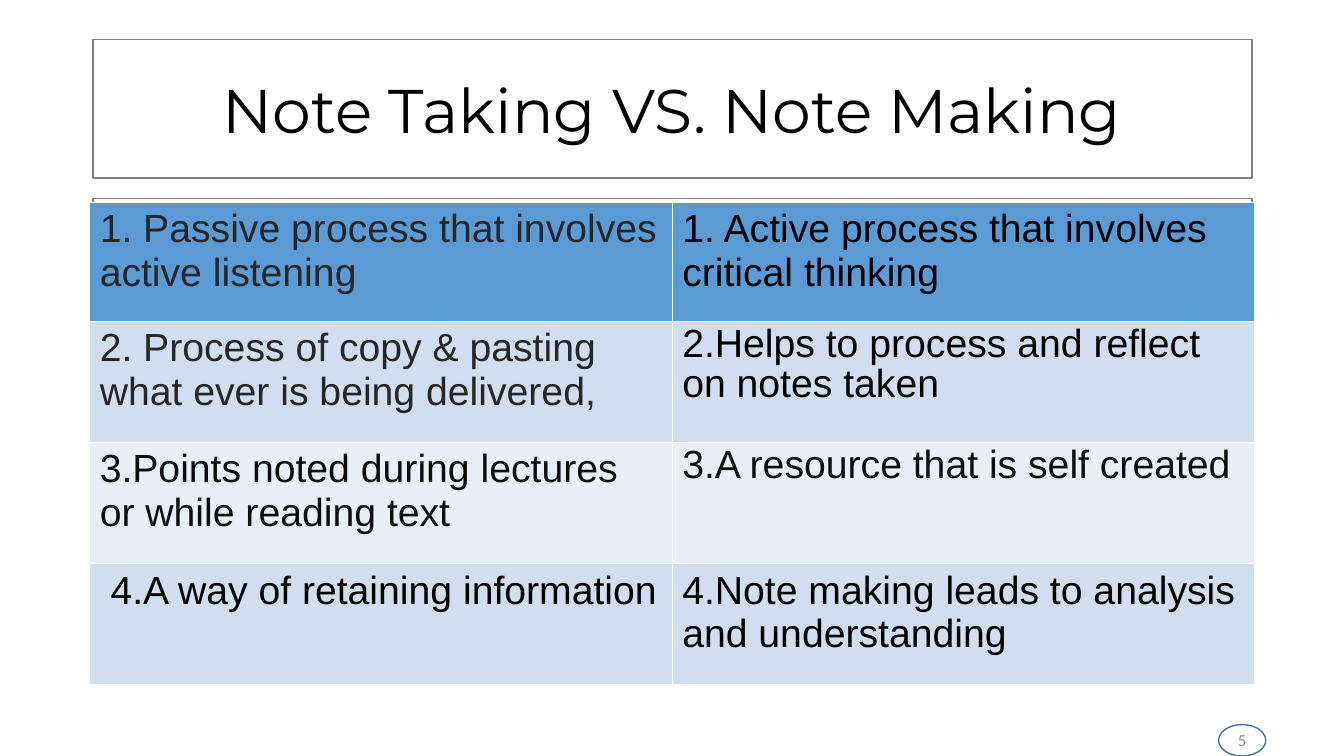
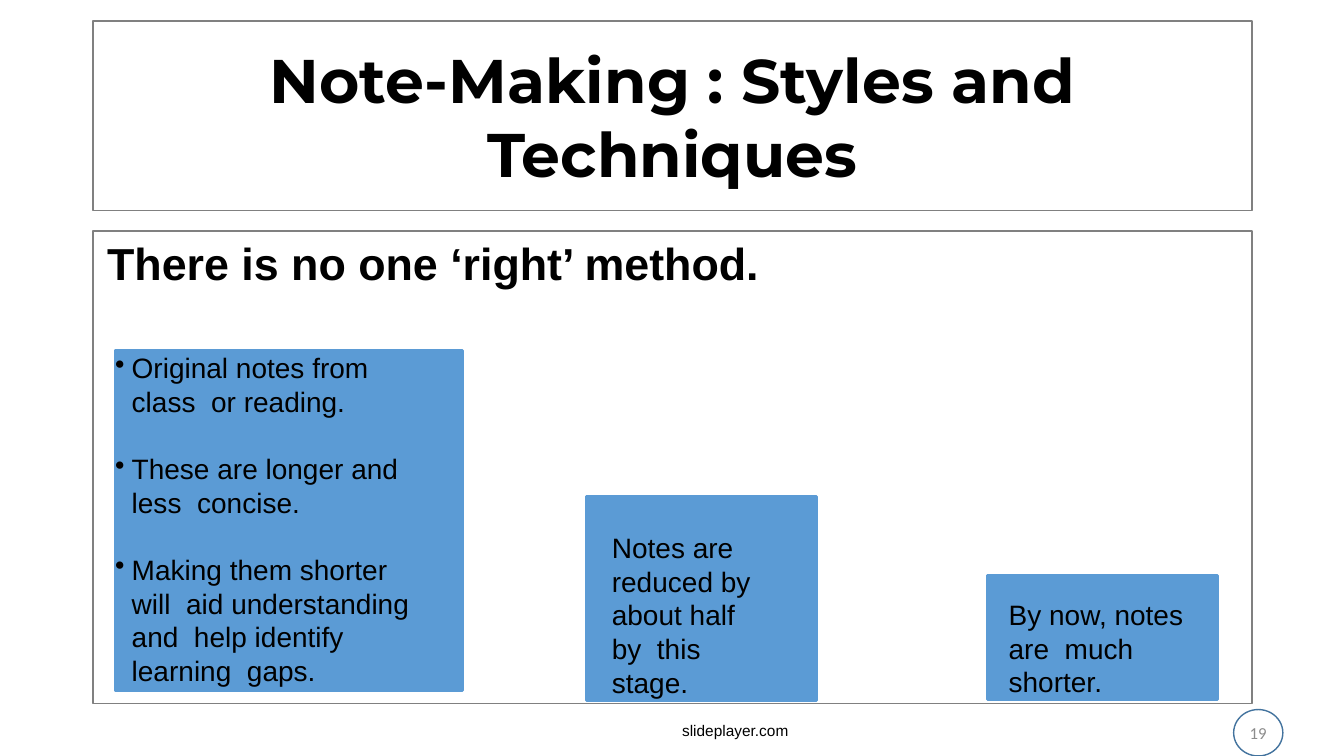
from lxml import etree
from pptx import Presentation
from pptx.dml.color import RGBColor
from pptx.enum.shapes import MSO_SHAPE
from pptx.enum.text import MSO_ANCHOR, PP_ALIGN
from pptx.oxml.ns import qn
from pptx.util import Cm, Pt

RECTANGLE, OVAL = MSO_SHAPE.RECTANGLE, MSO_SHAPE.OVAL
TOP, MIDDLE = MSO_ANCHOR.TOP, MSO_ANCHOR.MIDDLE
LEFT, CENTER = PP_ALIGN.LEFT, PP_ALIGN.CENTER

BLACK, CHARCOAL, INK, GREY = "000000", "262626", "0D0D0D", "8C8C8C"
FRAME, BLUE, RING = "808080", "5B9BD5", "43739E"
BAND_DARK, BAND_LIGHT = "D2DEEF", "EAEFF7"
TITLE_FONT, BODY_FONT, NUMBER_FONT = "Montserrat", "Arial", "Calibri"
FRAME_LEFT, FRAME_WIDTH = 2.34, 29.21
BULLET_INDENT = 0.42


def rgb(hex_color):
    return RGBColor.from_string(hex_color)


class Deck:
    """Holds the shared style and the slide being built."""

    def __init__(self):
        self.presentation = Presentation()
        self.presentation.slide_width = Cm(33.87)
        self.presentation.slide_height = Cm(19.05)
        self.slide = None

    def new_slide(self):
        layout = self.presentation.slide_layouts[6]
        self.slide = self.presentation.slides.add_slide(layout)

    def style(self, paragraph, size, font=BODY_FONT, color=BLACK, bold=False, align=LEFT):
        paragraph.alignment = align
        for run in paragraph.runs:
            run.font.size = Pt(size)
            run.font.name = font
            run.font.bold = bold
            run.font.color.rgb = rgb(color)

    def outline(self, kind, box, line, width=1, fill=None):
        shape = self.slide.shapes.add_shape(kind, *map(Cm, box))
        shape.shadow.inherit = False
        if fill:
            shape.fill.solid()
            shape.fill.fore_color.rgb = rgb(fill)
        else:
            shape.fill.background()
        shape.line.color.rgb = rgb(line)
        shape.line.width = Pt(width)
        return shape

    def set_text(self, shape, text, insets, anchor=TOP, wrap=True):
        frame = shape.text_frame
        frame.word_wrap = wrap
        frame.vertical_anchor = anchor
        frame.margin_left, frame.margin_top, frame.margin_right, frame.margin_bottom = map(Cm, insets)
        frame.text = text
        return frame.paragraphs

    def frame(self, top, height):
        return self.outline(RECTANGLE, (FRAME_LEFT, top, FRAME_WIDTH, height), FRAME)

    def title(self, text, top, height, bold=False):
        banner = self.frame(top, height)
        heading = self.set_text(banner, text, (0.25, 0.13, 0.25, 0.13), MIDDLE)[0]
        self.style(heading, 44, TITLE_FONT, bold=bold, align=CENTER)

    def body(self, top, height, text=""):
        panel = self.frame(top, height)
        if text:
            statement = self.set_text(panel, text, (0.36, 0.13, 0.25, 0.13))[0]
            self.style(statement, 32, bold=True)

    def note(self, box, insets, points, bulleted=False):
        card = self.outline(RECTANGLE, box, BLUE, 2, BLUE)
        for index, point in enumerate(self.set_text(card, "\n".join(points), insets)):
            if bulleted:
                self.bullet(point)
            point.line_spacing = Pt(24)
            point.space_before = Pt(24 if index else 0)
            self.style(point, 20)

    def bullet(self, paragraph):
        properties = paragraph._p.get_or_add_pPr()
        properties.set("marL", str(Cm(BULLET_INDENT)))
        properties.set("indent", str(-Cm(BULLET_INDENT)))
        etree.SubElement(properties, qn("a:buChar")).set("char", "•")

    def comparison(self, box, header_height, row_height, rows):
        table = self.slide.shapes.add_table(len(rows), len(rows[0]), *map(Cm, box)).table
        for index, entries in enumerate(rows):
            table.rows[index].height = Cm(row_height if index else header_height)
            band = BAND_DARK if index % 2 else BAND_LIGHT
            for column, (text, color, spacing) in enumerate(entries):
                cell = table.cell(index, column)
                cell.fill.solid()
                cell.fill.fore_color.rgb = rgb(band if index else BLUE)
                cell.text_frame.text = text
                entry = cell.text_frame.paragraphs[0]
                entry.line_spacing = spacing
                self.style(entry, 28, color=color)

    def source(self, text, box):
        credit = self.slide.shapes.add_textbox(*map(Cm, box))
        self.style(self.set_text(credit, text, (0.25, 0.13, 0.25, 0.13), wrap=False)[0], 11)

    def page_number(self, number, box):
        ring = self.outline(OVAL, box, RING)
        label = self.set_text(ring, number, (0, 0, 0, 0), MIDDLE, wrap=False)[0]
        self.style(label, 12, NUMBER_FONT, GREY, align=CENTER)


def add_comparison_slide(deck):
    deck.new_slide()
    deck.title("Note Taking VS. Note Making", 0.99, 3.5)
    deck.body(5, 12.14)
    deck.comparison((2.26, 5.1, 29.36, 12.15), 3, 3.05, [
        [("1. Passive process that involves active listening", CHARCOAL, 1.0),
         ("1. Active process that involves critical thinking", BLACK, 1.0)],
        [("2. Process of copy & pasting what ever is being delivered,", CHARCOAL, 1.0),
         ("2.Helps to process and reflect on notes taken", BLACK, 0.9)],
        [("3.Points noted during lectures or while reading text", INK, 1.0),
         ("3.A resource that is self created", INK, 0.9)],
        [(" 4.A way of retaining information", BLACK, 1.0),
         ("4.Note making leads to analysis and understanding", BLACK, 1.0)],
    ])
    deck.page_number("5", (30.71, 18.26, 1.19, 0.79))


def add_techniques_slide(deck):
    deck.new_slide()
    deck.title("Note-Making : Styles and Techniques", 0.53, 4.78, bold=True)
    deck.body(5.82, 11.91, "There is no one ‘right’ method.")
    deck.note((2.9, 8.84, 8.76, 8.56), (0, 0, 1.2, 0), [
        "Original notes from class  or reading.",
        "These are longer and less  concise.",
        "Making them shorter will  aid understanding and  help identify learning  gaps.",
    ], bulleted=True)
    deck.note((14.78, 12.52, 5.79, 5.13), (0.64, 0.85, 1.4, 0),
              ["Notes are  reduced by  about half by  this stage."])
    deck.note((24.89, 14.5, 5.79, 3.12), (0.53, 0.56, 0.3, 0),
              ["By now, notes are  much shorter."])
    deck.source("slideplayer.com", (16.94, 18.03, 3.23, 0.74))
    deck.page_number("19", (31.09, 17.88, 1.24, 1.17))


def main():
    deck = Deck()
    add_comparison_slide(deck)
    add_techniques_slide(deck)
    deck.presentation.save("out.pptx")


if __name__ == "__main__":
    main()
